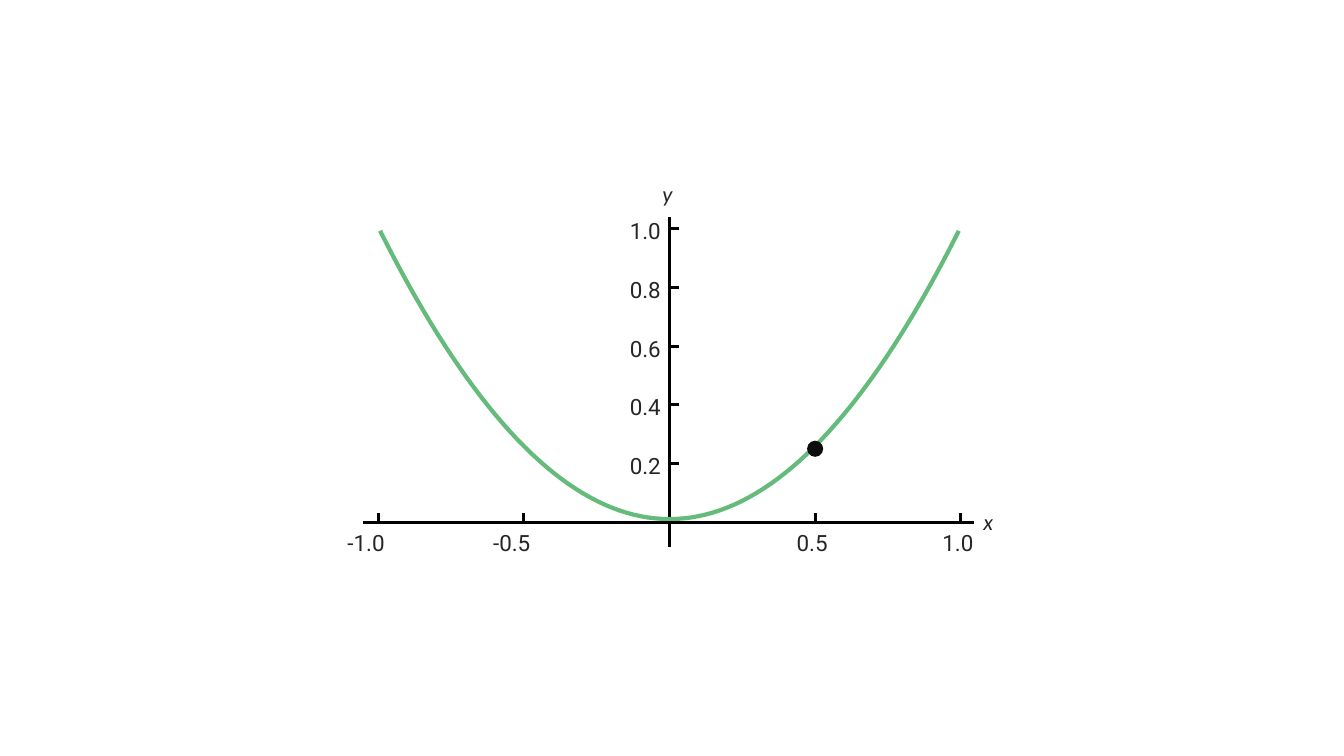
from dataclasses import dataclass

from pptx import Presentation
from pptx.dml.color import RGBColor as Rgb
from pptx.enum.shapes import MSO_CONNECTOR as Link, MSO_SHAPE as Shape
from pptx.enum.text import MSO_ANCHOR as Anchor, PP_ALIGN as Align
from pptx.oxml.ns import qn
from pptx.util import Inches, Pt
from lxml.etree import SubElement


@dataclass(frozen=True)
class Theme:
    axis: Rgb = Rgb(0, 0, 0)
    text: Rgb = Rgb(0x26, 0x26, 0x26)
    curve: Rgb = Rgb(0x65, 0xBB, 0x7B)
    dot: Rgb = Rgb(0x0D, 0x0D, 0x0D)
    font: str = "Roboto"
    name: str = "Calibri"
    size: float = 16
    thin: float = 2.25
    thick: float = 3


THEME = Theme()


def rule(slide, x1, y1, x2, y2):
    line = slide.shapes.add_connector(
        Link.STRAIGHT, *map(Inches, (x1, y1, x2, y2)))
    line.line.color.rgb = THEME.axis
    line.line.width = Pt(THEME.thin)
    SubElement(line._element.spPr, qn("a:effectLst"))


def label(slide, text, x, y, **extra):
    """Centre a text box on (x, y)."""
    wide, high = 2.32, 0.35
    box = slide.shapes.add_textbox(
        *map(Inches, (x - wide / 2, y - high / 2, wide, high)))
    frame = box.text_frame
    frame.word_wrap = True
    frame.vertical_anchor = Anchor.MIDDLE
    para = frame.paragraphs[0]
    para.alignment = Align.CENTER
    run = para.add_run()
    run.text = text
    look = {"name": THEME.font, "size": Pt(THEME.size), **extra}
    for key, value in look.items():
        setattr(run.font, key, value)
    run.font.color.rgb = THEME.text


def curve(slide, x, y, half, rise):
    """Draw the parabola from its lowest point (x, y)."""
    steps = 40
    points = [(Inches(x + half * i / steps),
               Inches(y - rise * (i / steps) ** 2))
              for i in range(-steps, steps + 1)]
    pen = slide.shapes.build_freeform(*points[0])
    pen.add_line_segments(points[1:], close=False)
    arc = pen.convert_to_shape()
    arc.shadow.inherit = False
    arc.fill.background()
    arc.line.color.rgb = THEME.curve
    arc.line.width = Pt(THEME.thick)


def plot(slide, left, top, wide, high):
    x0, y0 = left + 3.04, top + 3.03
    xunit, yunit = 2.89, 2.91
    tick = 0.09

    # Ticks and values of the x axis
    for value in (-1, -0.5, 0.5, 1):
        x = x0 + value * xunit
        rule(slide, x, y0 - tick, x, y0)
        shift = 0.12 if value < 0 else 0.03
        label(slide, f"{value:.1f}", x - shift, y0 + 0.2)

    # Ticks and values of the y axis
    for value in (0.2, 0.4, 0.6, 0.8, 1):
        y = y0 - value * yunit
        rule(slide, x0 + tick, y, x0, y)
        label(slide, f"{value:.1f}", x0 - 0.24, y + 0.02)

    # Axis names
    for text, x, y in (("x", left + wide + 0.14, y0 - 0.01),
                       ("y", x0 - 0.02, top - 0.23)):
        label(slide, text, x, y, name=THEME.name, italic=True)

    # Axes and curve
    rule(slide, x0, top, x0, top + high)
    curve(slide, x0, y0 - 0.03, 2.87, 2.86)
    rule(slide, left, y0, left + wide, y0)

    # Point at x = 0.5
    size = 0.16
    dot = slide.shapes.add_shape(Shape.OVAL, *map(Inches, (
        x0 + xunit / 2 - size / 2, y0 - yunit / 4 - size / 2, size, size)))
    dot.shadow.inherit = False
    dot.fill.solid()
    dot.fill.fore_color.rgb = THEME.dot
    dot.line.fill.background()


def main():
    deck = Presentation()
    deck.slide_width, deck.slide_height = Inches(13.33), Inches(7.5)
    slide = deck.slides.add_slide(deck.slide_layouts[6])
    plot(slide, 3.6, 2.15, 6.06, 3.28)
    deck.save("out.pptx")


if __name__ == "__main__":
    main()
